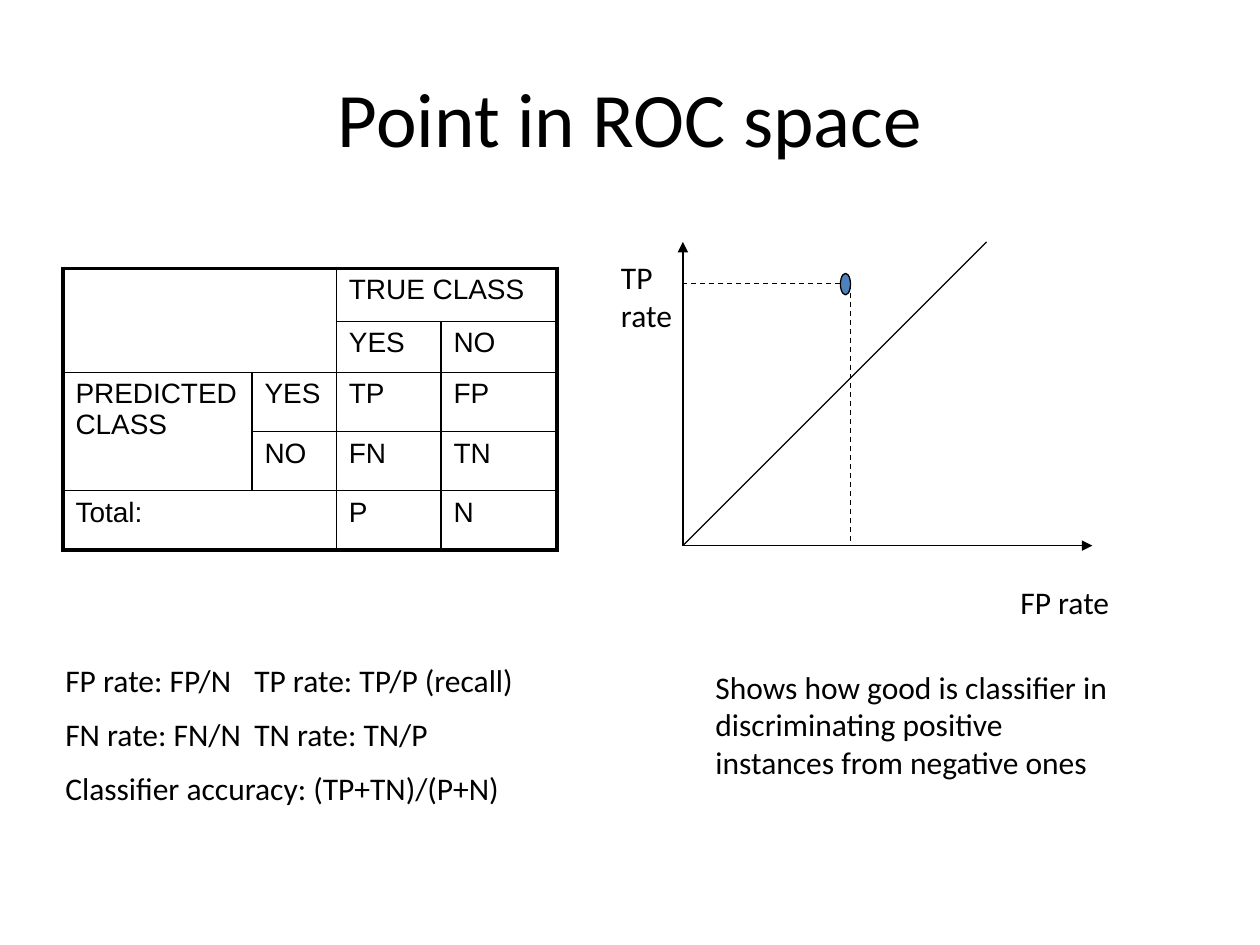
from dataclasses import dataclass

import pptx
import pptx.dml.color
import pptx.enum.shapes
import pptx.enum.text
import pptx.oxml
import pptx.oxml.ns
import pptx.util
from pptx.util import Inches

COLORS = {"ink": "000000", "point": "4F81BD"}
ORIGIN = (5.42, 4.33)
AXIS_TOP = 1.92
POINT_Y = 2.25
POINT_LEFT, POINT_RIGHT = 6.67, 6.75

COLUMN_WIDTHS = [1.5, 0.67, 0.83, 0.92]
ROW_HEIGHTS = [0.42, 0.35, 0.47, 0.47, 0.47]
MATRIX = [
    ["", "", "TRUE CLASS", ""],
    ["", "", "YES", "NO"],
    ["PREDICTED CLASS", "YES", "TP", "FP"],
    ["", "NO", "FN", "TN"],
    ["Total:", "", "P", "N"],
]
MERGES = [((0, 0), (1, 1)), ((0, 2), (0, 3)), ((2, 0), (3, 0)), ((4, 0), (4, 1))]


@dataclass
class Label:
    left: float
    top: float
    width: float
    height: float
    paragraphs: list[str]


@dataclass
class Line:
    start: tuple[float, float]
    end: tuple[float, float]
    arrow: bool = False
    dashed: bool = False


LABELS = [
    Label(0.42, 5.2, 4.67, 1.3, [
        "FP rate: FP/N\tTP rate: TP/P (recall)",
        "FN rate: FN/N\tTN rate: TN/P",
        "Classifier accuracy: (TP+TN)/(P+N)",
    ]),
    Label(8, 4.58, 1.33, 0.4, ["FP rate"]),
    Label(4.83, 2, 0.75, 0.7, ["TP rate"]),
    Label(5.58, 5.25, 3.33, 1.3, [
        "Shows how good is classifier in discriminating positive instances from negative ones",
    ]),
]
LINES = [
    Line(ORIGIN, (8.67, ORIGIN[1]), arrow=True),
    Line(ORIGIN, (ORIGIN[0], AXIS_TOP), arrow=True),
    Line(ORIGIN, (7.83, AXIS_TOP)),
    Line((POINT_LEFT, POINT_Y), (ORIGIN[0], POINT_Y), dashed=True),
    Line((POINT_RIGHT, POINT_Y), (POINT_RIGHT, ORIGIN[1]), dashed=True),
]


def color(name: str) -> pptx.dml.color.RGBColor:
    return pptx.dml.color.RGBColor.from_string(COLORS[name])


def add_run(paragraph, text: str, size: float, font: str = "Calibri") -> None:
    run = paragraph.add_run()
    run.text = text
    run.font.size = pptx.util.Pt(size)
    run.font.name = font
    run.font.color.rgb = color("ink")


def add_title(slide, text: str) -> None:
    title = slide.shapes.title
    title.left, title.top = Inches(0.5), Inches(0.3)
    title.width, title.height = Inches(9), Inches(1.25)
    title.text_frame.vertical_anchor = pptx.enum.text.MSO_ANCHOR.MIDDLE
    paragraph = title.text_frame.paragraphs[0]
    paragraph.alignment = pptx.enum.text.PP_ALIGN.CENTER
    add_run(paragraph, text, 44)


def add_label(slide, label: Label) -> None:
    box = slide.shapes.add_textbox(
        Inches(label.left), Inches(label.top), Inches(label.width), Inches(label.height))
    frame = box.text_frame
    frame.word_wrap = True
    for index, text in enumerate(label.paragraphs):
        paragraph = frame.add_paragraph() if index else frame.paragraphs[0]
        if index:
            paragraph.space_before = pptx.util.Pt(9)
        add_run(paragraph, text, 18)


def add_line(slide, line: Line) -> None:
    connector = slide.shapes.add_connector(
        pptx.enum.shapes.MSO_CONNECTOR.STRAIGHT,
        *(Inches(value) for value in line.start + line.end))
    connector.line.width = pptx.util.Pt(0.75)
    connector.line.color.rgb = color("ink")
    if line.dashed:
        connector.line.dash_style = pptx.enum.dml.MSO_LINE.DASH
    properties = connector._element.spPr
    if line.arrow:
        outline = properties.find(pptx.oxml.ns.qn("a:ln"))
        outline.append(pptx.oxml.parse_xml(
            f'<a:tailEnd {pptx.oxml.ns.nsdecls("a")} type="triangle"/>'))
    properties.append(pptx.oxml.parse_xml(f'<a:effectLst {pptx.oxml.ns.nsdecls("a")}/>'))


def add_point(slide) -> None:
    point = slide.shapes.add_shape(
        pptx.enum.shapes.MSO_SHAPE.OVAL,
        Inches(POINT_LEFT), Inches(2.17), Inches(POINT_RIGHT - POINT_LEFT), Inches(0.17))
    point.shadow.inherit = False
    point.fill.solid()
    point.fill.fore_color.rgb = color("point")
    point.line.color.rgb = color("ink")
    point.line.width = pptx.util.Pt(0.75)


def set_borders(cell, row: int, column: int) -> None:
    """Draw thick lines on the table's outer edges and thin ones inside."""
    outer = {
        "L": column == 0,
        "R": column + cell.span_width == len(COLUMN_WIDTHS),
        "T": row == 0,
        "B": row + cell.span_height == len(ROW_HEIGHTS),
    }
    properties = cell._tc.get_or_add_tcPr()
    for side, is_outer in outer.items():
        width = pptx.util.Pt(2.25 if is_outer else 1)
        properties.append(pptx.oxml.parse_xml(
            f'<a:ln{side} {pptx.oxml.ns.nsdecls("a")} w="{width}"><a:solidFill>'
            f'<a:srgbClr val="{COLORS["ink"]}"/></a:solidFill></a:ln{side}>'))


def add_confusion_matrix(slide) -> None:
    table = slide.shapes.add_table(
        len(ROW_HEIGHTS), len(COLUMN_WIDTHS), Inches(0.5), Inches(2.13),
        Inches(sum(COLUMN_WIDTHS)), Inches(sum(ROW_HEIGHTS))).table
    table.first_row = table.horz_banding = False
    for column, width in zip(table.columns, COLUMN_WIDTHS):
        column.width = Inches(width)
    for row, height in zip(table.rows, ROW_HEIGHTS):
        row.height = Inches(height)
    for first, last in MERGES:
        table.cell(*first).merge(table.cell(*last))
    for row_index, texts in enumerate(MATRIX):
        for column_index, text in enumerate(texts):
            cell = table.cell(row_index, column_index)
            if not cell.is_spanned:
                set_borders(cell, row_index, column_index)
            cell.fill.background()
            if text:
                add_run(cell.text_frame.paragraphs[0], text, 16, "Arial")


def main() -> None:
    presentation = pptx.Presentation()
    presentation.slide_width, presentation.slide_height = Inches(10), Inches(7.5)
    slide = presentation.slides.add_slide(presentation.slide_layouts[5])
    add_title(slide, "Point in ROC space")
    add_confusion_matrix(slide)
    for label in LABELS:
        add_label(slide, label)
    for line in LINES:
        add_line(slide, line)
    add_point(slide)
    presentation.save("out.pptx")


if __name__ == "__main__":
    main()
